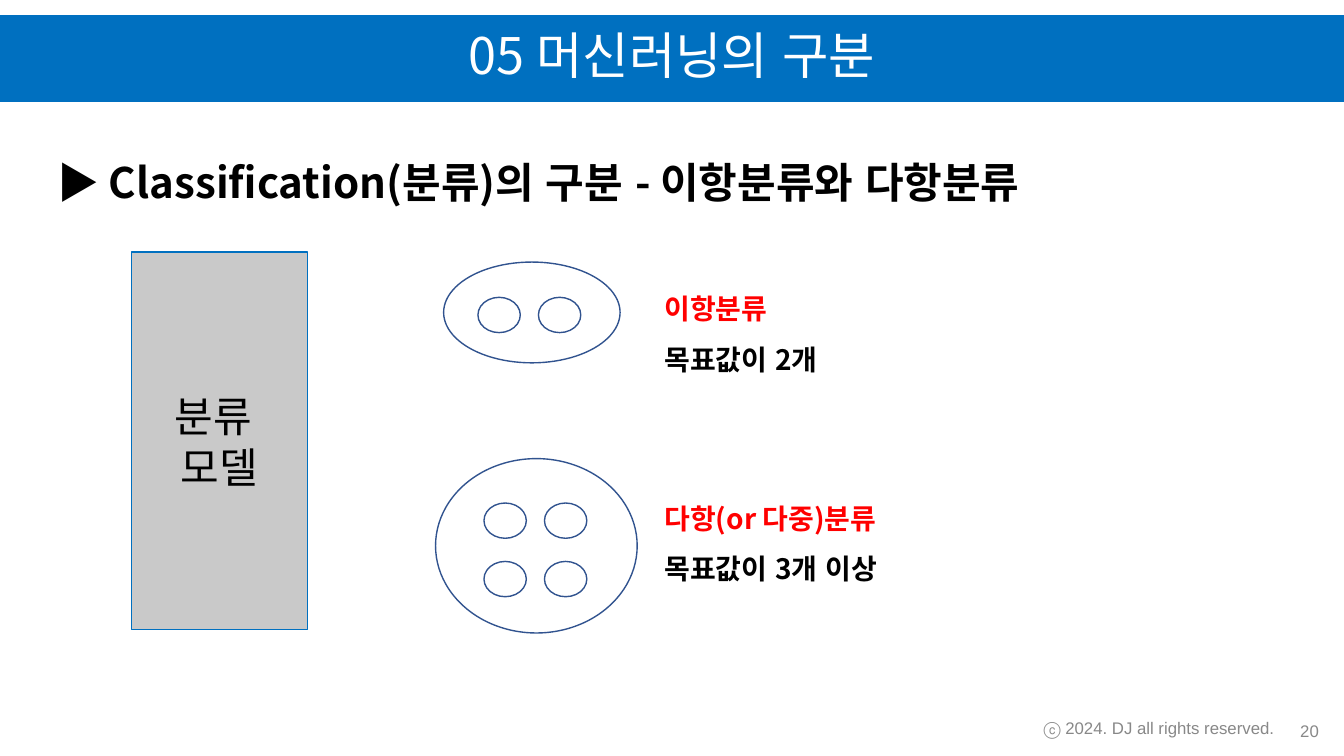
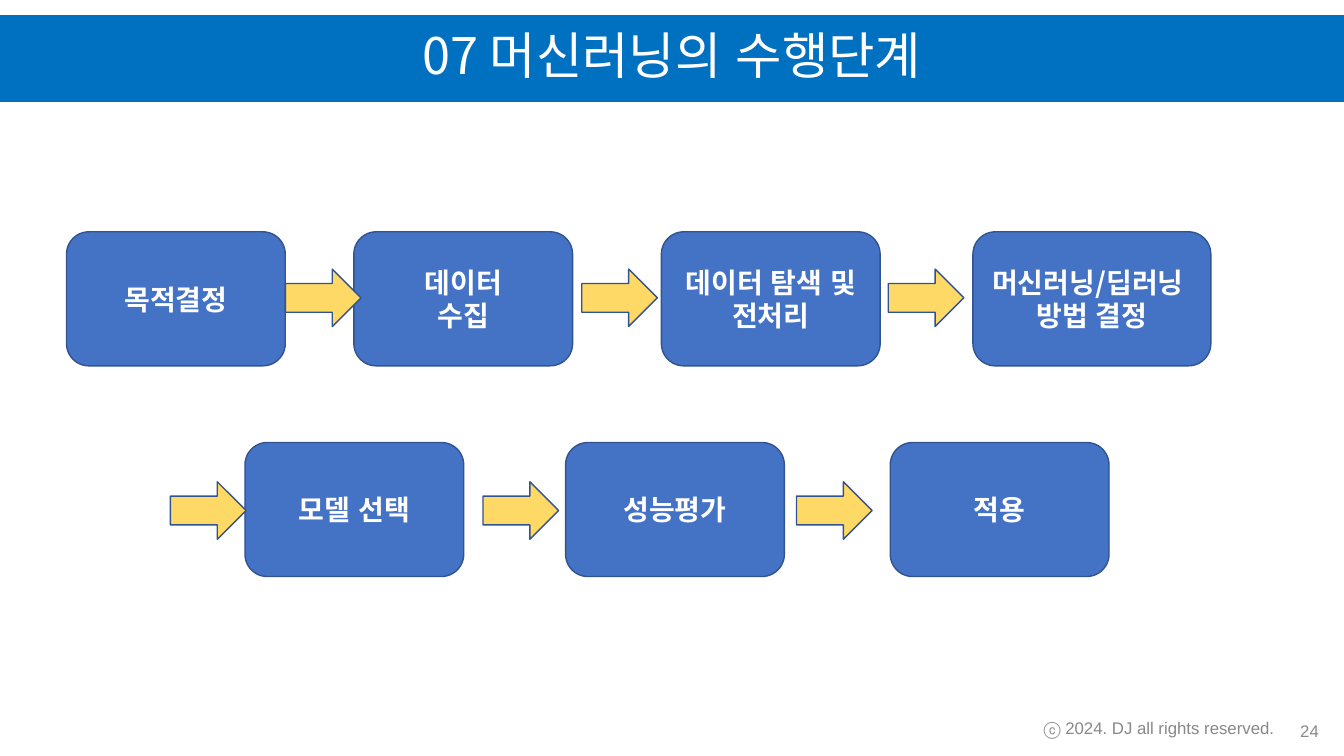
from dataclasses import dataclass
from itertools import product

from lxml.etree import SubElement
from pptx import Presentation
from pptx.dml.color import RGBColor
from pptx.enum.lang import MSO_LANGUAGE_ID
from pptx.enum.shapes import MSO_SHAPE
from pptx.enum.text import MSO_ANCHOR, MSO_AUTO_SIZE, PP_ALIGN
from pptx.oxml.ns import qn
from pptx.presentation import Presentation as Deck
from pptx.shapes.autoshape import Shape
from pptx.slide import Slide
from pptx.util import Emu, Pt

EMU_PER_PX = 9144
PAGE_WIDTH, PAGE_HEIGHT = 1333, 750
TITLE_ONLY = 5
KOREAN = "Noto Sans CJK KR"
COLORS = {
    "band": "0070C0",
    "step": "4472C4",
    "outline": "31538F",
    "arrow": "FFD966",
    "model": "C9C9C9",
    "white": "FFFFFF",
    "black": "000000",
    "accent": "FF0000",
    "footer": "888888",
}


@dataclass(frozen=True)
class Area:
    left: int
    top: int
    width: int
    height: int

    def emu(self) -> tuple[Emu, ...]:
        sides = (self.left, self.top, self.width, self.height)
        return tuple(Emu(side * EMU_PER_PX) for side in sides)


@dataclass(frozen=True)
class Style:
    size: int
    color: str
    bold: bool = False
    font: str = KOREAN
    align: PP_ALIGN = PP_ALIGN.LEFT
    spacing: float = 1.0


@dataclass(frozen=True)
class Category:
    outer: Area
    first_target: tuple[int, int]
    rows: int
    label: Area
    name: str
    detail: str


@dataclass(frozen=True)
class Step:
    left: int
    lines: tuple[str, ...]
    width: int = 217


@dataclass(frozen=True)
class StepRow:
    top: int
    arrow_top: int
    steps: tuple[Step, ...]
    arrow_lefts: tuple[int, ...]


TITLE = Style(36, "white", align=PP_ALIGN.CENTER, spacing=0.9)
HEADING = Style(30, "black", True, spacing=1.5)
MODEL = Style(30, "black", align=PP_ALIGN.CENTER)
NAME = Style(20, "accent", True, spacing=1.5)
DETAIL = Style(20, "black", True, spacing=1.5)
STEP = Style(20, "white", True, align=PP_ALIGN.CENTER)
PAGE_NUMBER = Style(12, "footer", font="Arial", align=PP_ALIGN.RIGHT)
COPYRIGHT = Style(12, "footer", font="Arial", align=PP_ALIGN.CENTER)

TARGET_SIZE = (42, 35)
TARGET_PITCH = (60, 58)
STEP_HEIGHT = 133
ARROW_SIZE = (75, 57)

CATEGORIES = (
    Category(Area(440, 260, 175, 100), (474, 295), 1,
             Area(649, 268, 323, 111), "이항분류", "목표값이 2개"),
    Category(Area(432, 455, 200, 173), (480, 499), 2,
             Area(649, 476, 437, 111), "다항(or 다중)분류", "목표값이 3개 이상"),
)
STEP_ROWS = (
    StepRow(230, 267, (
        Step(66, ("목적결정",)),
        Step(351, ("데이터", "수집")),
        Step(656, ("데이터 탐색 및 전처리",)),
        Step(965, ("머신러닝/딥러닝 ", "방법 결정"), 236),
    ), (283, 577, 881)),
    StepRow(439, 478, (
        Step(243, ("모델 선택",)),
        Step(561, ("성능평가",)),
        Step(883, ("적용",)),
    ), (169, 479, 790)),
)


def rgb(name: str) -> RGBColor:
    return RGBColor.from_string(COLORS[name])


def write(box: Shape, lines: tuple[tuple[str, Style], ...],
          anchor: MSO_ANCHOR = MSO_ANCHOR.MIDDLE) -> None:
    frame = box.text_frame
    frame.word_wrap = True
    frame.auto_size = MSO_AUTO_SIZE.NONE
    frame.vertical_anchor = anchor
    for index, (text, style) in enumerate(lines):
        para = frame.add_paragraph() if index else frame.paragraphs[0]
        para.alignment = style.align
        para.line_spacing = style.spacing
        span = para.add_run()
        span.text = text
        font = span.font
        font.size = Pt(style.size)
        font.bold = style.bold
        font.color.rgb = rgb(style.color)
        font.name = style.font
        font.language_id = MSO_LANGUAGE_ID.KOREAN
        SubElement(span._r.rPr, qn("a:ea"), typeface=style.font)


def add_text(page: Slide, area: Area, *lines: tuple[str, Style],
             anchor: MSO_ANCHOR = MSO_ANCHOR.MIDDLE) -> None:
    write(page.shapes.add_textbox(*area.emu()), lines, anchor)


def add_figure(page: Slide, kind: MSO_SHAPE, area: Area, fill: str | None = None,
               line: str = "outline", weight: float = 1) -> Shape:
    figure = page.shapes.add_shape(kind, *area.emu())
    figure.shadow.inherit = False
    if fill:
        figure.fill.solid()
        figure.fill.fore_color.rgb = rgb(fill)
    else:
        figure.fill.background()
    figure.line.color.rgb = rgb(line)
    figure.line.width = Pt(weight)
    return figure


def add_page(deck: Deck, title: str, number: int) -> Slide:
    page = deck.slides.add_slide(deck.slide_layouts[TITLE_ONLY])
    band = page.shapes.title
    band.left, band.top, band.width, band.height = Area(0, 15, PAGE_WIDTH, 86).emu()
    band.fill.solid()
    band.fill.fore_color.rgb = rgb("band")
    write(band, ((title, TITLE),))
    add_text(page, Area(1258, 708, 60, 34), (str(number), PAGE_NUMBER))
    add_text(page, Area(982, 700, 335, 44),
             ("ⓒ 2024. DJ all rights reserved.", COPYRIGHT))
    return page


def add_category(page: Slide, category: Category) -> None:
    left, top = category.first_target
    for row, column in product(range(category.rows), range(2)):
        target = Area(left + column * TARGET_PITCH[0],
                      top + row * TARGET_PITCH[1], *TARGET_SIZE)
        add_figure(page, MSO_SHAPE.OVAL, target)
    add_figure(page, MSO_SHAPE.OVAL, category.outer)
    add_text(page, category.label, (category.name, NAME),
             (category.detail, DETAIL), anchor=MSO_ANCHOR.TOP)


def add_classification(deck: Deck) -> None:
    page = add_page(deck, "05 머신러닝의 구분", 20)
    add_text(page, Area(47, 125, 1251, 76),
             ("▶ Classification(분류)의 구분 - 이항분류와 다항분류", HEADING),
             anchor=MSO_ANCHOR.TOP)
    model = add_figure(page, MSO_SHAPE.RECTANGLE, Area(130, 250, 175, 375),
                       "model", "band", 0.75)
    frame = model.text_frame
    frame.margin_left = frame.margin_right = 0
    frame.margin_top = frame.margin_bottom = 0
    write(model, (("분류 ", MODEL), ("모델", MODEL)))
    for category in CATEGORIES:
        add_category(page, category)


def add_process(deck: Deck) -> None:
    page = add_page(deck, "07 머신러닝의 수행단계", 24)
    for row in STEP_ROWS:
        for step in row.steps:
            area = Area(step.left, row.top, step.width, STEP_HEIGHT)
            box = add_figure(page, MSO_SHAPE.ROUNDED_RECTANGLE, area, "step")
            write(box, tuple((line, STEP) for line in step.lines))
        for left in row.arrow_lefts:
            add_figure(page, MSO_SHAPE.RIGHT_ARROW,
                       Area(left, row.arrow_top, *ARROW_SIZE), "arrow")


def main() -> None:
    deck = Presentation()
    deck.slide_width = Emu(PAGE_WIDTH * EMU_PER_PX)
    deck.slide_height = Emu(PAGE_HEIGHT * EMU_PER_PX)
    add_classification(deck)
    add_process(deck)
    deck.save("out.pptx")


if __name__ == "__main__":
    main()
